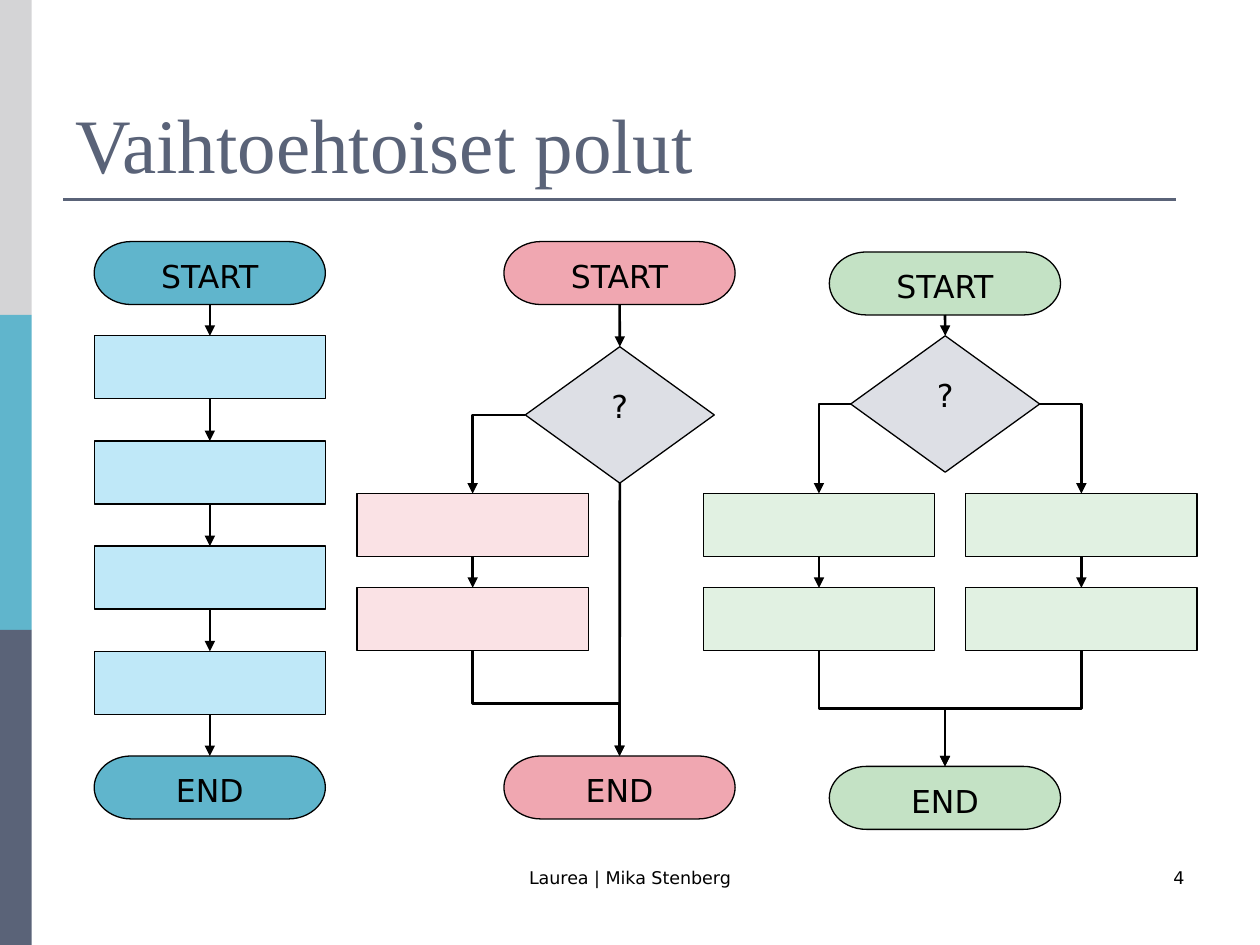
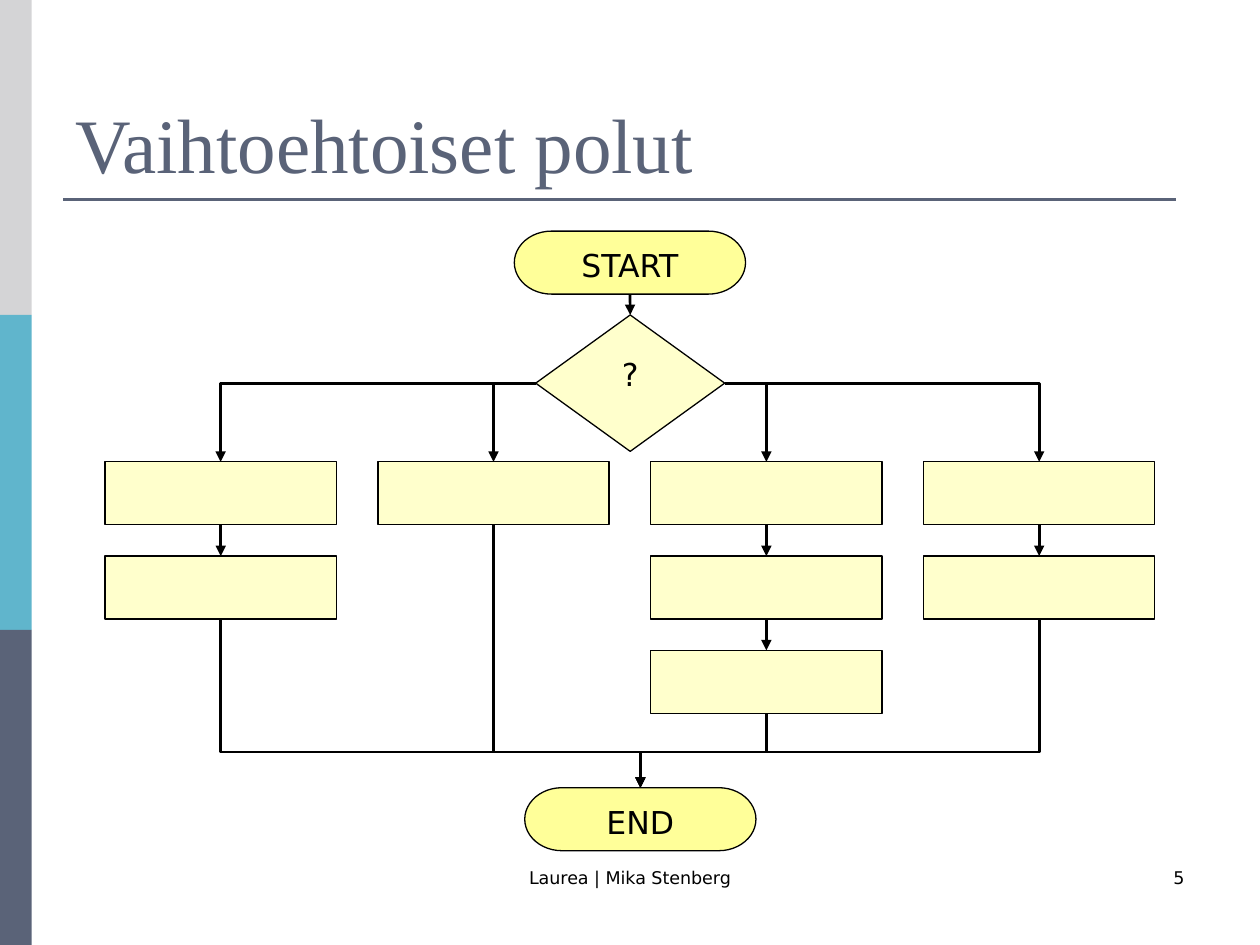
from lxml.etree import SubElement
from pptx import Presentation
from pptx.dml.color import RGBColor
from pptx.enum.shapes import MSO_CONNECTOR, MSO_SHAPE
from pptx.enum.text import MSO_ANCHOR, PP_ALIGN
from pptx.oxml.ns import qn
from pptx.util import Cm, Pt

COLORS = {
    "grey": "D4D4D6", "teal": "60B5CC", "slate": "5A6378", "black": "000000",
    "sky": "BFE8F8", "rose": "F0A7B1", "blush": "FAE2E5", "green": "C4E2C5",
    "mint": "E1F1E2", "mist": "DDDFE5", "yellow": "FFFF99", "cream": "FFFFCC",
}
BODY, HEADING = "DejaVu Sans", "Times New Roman"
TOP, LEFT, BOTTOM, RIGHT = range(4)
BOX_W, BOX_H, PITCH = 4.66, 1.27, 1.9


class FlowDeck:
    """Holds the deck style and the slide being drawn."""

    def __init__(self):
        self.prs = Presentation()
        self.prs.slide_width, self.prs.slide_height = Cm(25.4), Cm(19.05)
        self.s = None

    def color(self, name):
        return RGBColor.from_string(COLORS[name])

    def label(self, sp, text, size, font=BODY, color="black",
              align=PP_ALIGN.CENTER, anchor=MSO_ANCHOR.TOP):
        tf = sp.text_frame
        tf.word_wrap = True
        tf.vertical_anchor = anchor
        p = tf.paragraphs[0]
        p.text = text
        p.alignment = align
        for r in p.runs:
            r.font.size, r.font.name = Pt(size), font
            r.font.color.rgb = self.color(color)

    def text(self, x, y, w, h, text, size, **style):
        sp = self.s.shapes.add_textbox(Cm(x), Cm(y), Cm(w), Cm(h))
        self.label(sp, text, size, **style)

    def shape(self, kind, x, y, w, h, fill, outline=True):
        sp = self.s.shapes.add_shape(kind, Cm(x), Cm(y), Cm(w), Cm(h))
        sp.shadow.inherit = False
        sp.fill.solid()
        sp.fill.fore_color.rgb = self.color(fill)
        if outline:
            sp.line.color.rgb = self.color("black")
            sp.line.width = Pt(0.75)
        else:
            sp.line.fill.background()
        return sp

    def line(self, kind, x1, y1, x2, y2, color):
        cxn = self.s.shapes.add_connector(kind, Cm(x1), Cm(y1), Cm(x2), Cm(y2))
        cxn.line.color.rgb = self.color(color)
        cxn.line.width = Pt(1.5)
        SubElement(cxn._element.spPr, qn("a:effectLst"))
        return cxn

    def new_slide(self, title, number):
        self.s = self.prs.slides.add_slide(self.prs.slide_layouts[6])
        for i, fill in enumerate(("grey", "teal", "slate")):
            self.shape(MSO_SHAPE.RECTANGLE, 0, 6.35 * i, 0.64, 6.35, fill, outline=False)
        self.line(MSO_CONNECTOR.STRAIGHT, 1.27, 4.02, 23.71, 4.02, "slate")
        self.text(1.27, 0.76, 22.86, 3.18, title, 44, font=HEADING, color="slate",
                  align=PP_ALIGN.LEFT, anchor=MSO_ANCHOR.BOTTOM)
        self.text(8.68, 17.36, 8.04, 1.27, "Laurea | Mika Stenberg", 10)
        self.text(18.2, 17.36, 5.93, 1.27, str(number), 10, align=PP_ALIGN.RIGHT)

    def terminator(self, center, top, text, fill):
        sp = self.shape(MSO_SHAPE.FLOWCHART_TERMINATOR, center - BOX_W / 2, top,
                        BOX_W, BOX_H, fill)
        self.label(sp, text, 18)
        return sp

    def decision(self, center, top, fill):
        sp = self.shape(MSO_SHAPE.FLOWCHART_DECISION, center - 1.9, top, 3.81, 2.75, fill)
        self.label(sp, "?", 18)
        return sp

    def steps(self, center, top, count, fill, pitch=PITCH):
        return [self.shape(MSO_SHAPE.FLOWCHART_PROCESS, center - BOX_W / 2,
                           top + pitch * i, BOX_W, BOX_H, fill) for i in range(count)]

    def arrow(self, kind, start, start_site, end, end_site):
        cxn = self.line(kind, 0, 0, 0, 0, "black")
        cxn.begin_connect(start, start_site)
        cxn.end_connect(end, end_site)
        ln = cxn._element.spPr.find(qn("a:ln"))
        SubElement(ln, qn("a:tailEnd"), type="triangle")
        return cxn

    def chain(self, nodes):
        for start, end in zip(nodes, nodes[1:]):
            self.arrow(MSO_CONNECTOR.STRAIGHT, start, BOTTOM, end, TOP)

    def branch(self, start, side, end):
        cxn = self.arrow(MSO_CONNECTOR.ELBOW, start, side, end, TOP)
        cxn._element.spPr.find(qn("a:prstGeom")).set("prst", "bentConnector2")

    def merge(self, start, end, bus):
        cxn = self.arrow(MSO_CONNECTOR.ELBOW, start, BOTTOM, end, TOP)
        x1, y1, x2, y2 = cxn.begin_x, cxn.begin_y, cxn.end_x, cxn.end_y
        rise, run = y2 - y1, abs(x2 - x1)
        cxn.left, cxn.top = (x1 + x2 - rise) // 2, (y1 + y2 - run) // 2
        cxn.width, cxn.height = rise, run
        spPr = cxn._element.spPr
        xfrm = spPr.find(qn("a:xfrm"))
        xfrm.set("rot", str((90 if x2 < x1 else 270) * 60000))
        xfrm.set("flipH", "0" if x2 < x1 else "1")
        avLst = spPr.find(qn("a:prstGeom")).find(qn("a:avLst"))
        SubElement(avLst, qn("a:gd"), name="adj1",
                   fmla=f"val {round((Cm(bus) - y1) / rise * 100000)}")


def sequence(deck):
    start = deck.terminator(4.23, 4.87, "START", "teal")
    steps = deck.steps(4.23, 6.77, 4, "sky", pitch=2.12)
    end = deck.terminator(4.23, 15.24, "END", "teal")
    deck.chain([start, *steps, end])


def optional_path(deck):
    start = deck.terminator(12.49, 4.87, "START", "rose")
    choice = deck.decision(12.49, 6.99, "mist")
    steps = deck.steps(9.53, 9.95, 2, "blush")
    end = deck.terminator(12.49, 15.24, "END", "rose")
    deck.chain([start, choice, end])
    deck.chain(steps)
    deck.branch(choice, LEFT, steps[0])
    deck.merge(steps[-1], end, 14.18)


def parallel_paths(deck, start, choice, end, paths, bus):
    deck.chain([start, choice])
    for i, steps in enumerate(paths):
        deck.chain(steps)
        deck.branch(choice, LEFT if i < len(paths) / 2 else RIGHT, steps[0])
        deck.merge(steps[-1], end, bus)


def two_paths(deck):
    start = deck.terminator(19.05, 5.08, "START", "green")
    choice = deck.decision(19.05, 6.77, "mist")
    end = deck.terminator(19.05, 15.45, "END", "green")
    paths = [deck.steps(center, 9.95, 2, "mint") for center in (16.51, 21.8)]
    parallel_paths(deck, start, choice, end, paths, 14.29)


def four_paths(deck):
    start = deck.terminator(12.7, 4.66, "START", "yellow")
    choice = deck.decision(12.7, 6.35, "cream")
    end = deck.terminator(12.91, 15.88, "END", "yellow")
    paths = [deck.steps(4.45 + 5.5 * i, 9.31, count, "cream")
             for i, count in enumerate((2, 1, 3, 2))]
    parallel_paths(deck, start, choice, end, paths, 15.16)


def main():
    deck = FlowDeck()
    title = "Vaihtoehtoiset polut"
    deck.new_slide(title, 4)
    sequence(deck)
    optional_path(deck)
    two_paths(deck)
    deck.new_slide(title, 5)
    four_paths(deck)
    deck.prs.save("out.pptx")


if __name__ == "__main__":
    main()
